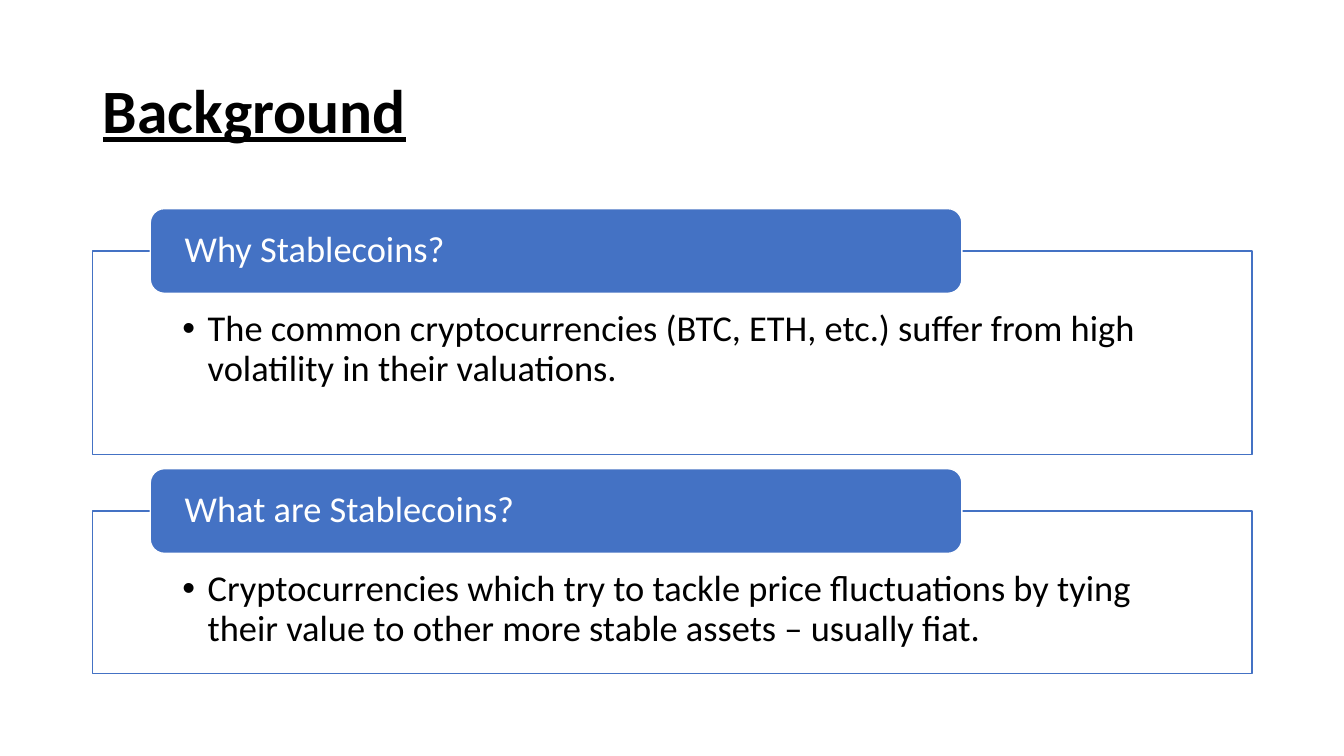
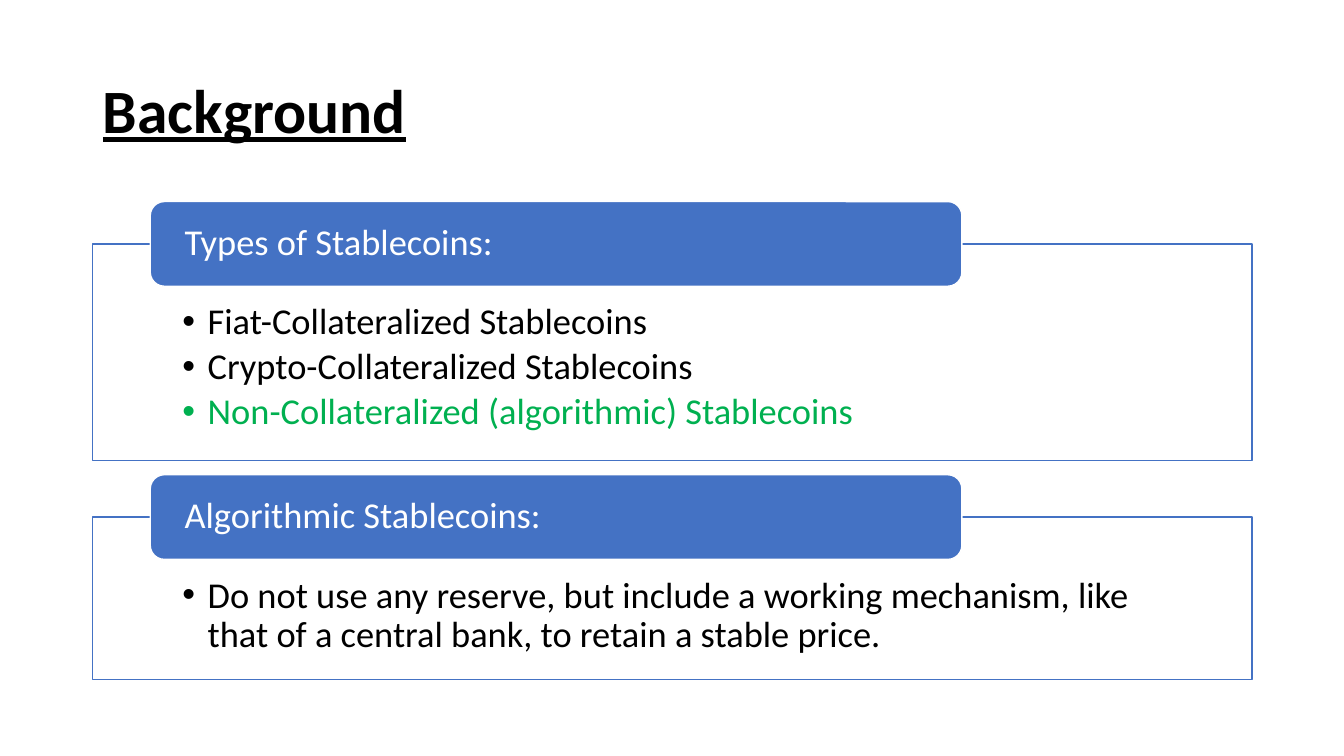
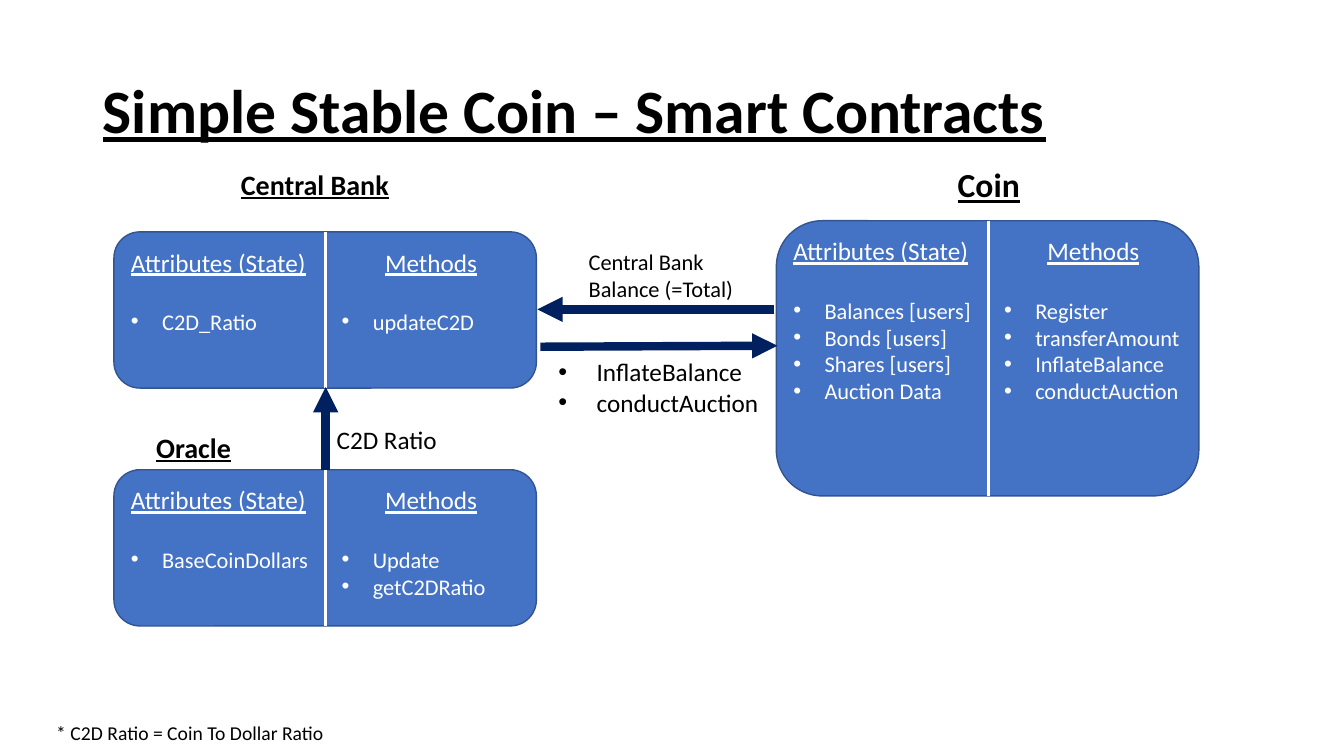
"""Build three slides on stablecoins and their smart contracts."""
from dataclasses import dataclass

from lxml import etree
from pptx import Presentation, util as u
from pptx.dml.color import RGBColor as Rgb
from pptx.enum import shapes, text
from pptx.oxml.ns import qn


@dataclass(frozen=True)
class Theme:
    """Colours, font and type sizes."""
    font: str = "Calibri"
    blue: str = "4472C4"
    edge: str = "325491"
    navy: str = "002060"
    green: str = "00B050"
    black: str = "000000"
    white: str = "FFFFFF"
    title: int = 44
    body: int = 26
    large: int = 24
    name: int = 20
    label: int = 18
    item: int = 16
    note: int = 14


class Deck:
    """Hold the style and the current slide, and draw each kind of element."""

    def __init__(self, theme):
        """Start an empty wide deck."""
        self.theme = theme
        self.show = Presentation()
        self.show.slide_width = u.Inches(13.33)
        self.show.slide_height = u.Inches(7.5)
        self.slide = None

    def page(self, title):
        """Add a slide with its title."""
        self.slide = self.show.slides.add_slide(self.show.slide_layouts[5])
        head = self.slide.shapes.title
        place = dict(left=0.92, top=0.4, width=11.5, height=1.45)
        for key, val in place.items():
            setattr(head, key, u.Inches(val))
        self.frame(head, anchor=text.MSO_ANCHOR.MIDDLE)
        self.para(head, title, self.theme.title, bold=True, line=True, space=0.9)

    def frame(self, shape, anchor=text.MSO_ANCHOR.TOP, pad=(0.1, 0.05, 0.1, 0.05)):
        """Set wrapping, anchor and insets."""
        left, top, right, low = map(u.Inches, pad)
        form = dict(word_wrap=True, auto_size=text.MSO_AUTO_SIZE.NONE,
                    vertical_anchor=anchor, margin_left=left, margin_top=top,
                    margin_right=right, margin_bottom=low)
        for key, val in form.items():
            setattr(shape.text_frame, key, val)

    def para(self, shape, words, size, color=None, bold=False, line=False,
             space=1.0, after=0, align=text.PP_ALIGN.LEFT, dent=0):
        """Append a paragraph, with a bullet when it has an indent."""
        frame = shape.text_frame
        par = frame.paragraphs[0] if not frame.text else frame.add_paragraph()
        form = dict(alignment=align, line_spacing=space,
                    space_before=u.Pt(0), space_after=u.Pt(after))
        for key, val in form.items():
            setattr(par, key, val)
        if dent:
            prop = par._p.get_or_add_pPr()
            prop.set("marL", str(u.Inches(dent)))
            prop.set("indent", str(-u.Inches(dent)))
            etree.SubElement(prop, qn("a:buFont"), typeface="Arial")
            etree.SubElement(prop, qn("a:buChar"), char="•")
        run = par.add_run()
        run.text = words
        look = dict(name=self.theme.font, size=u.Pt(size), bold=bold, underline=line)
        for key, val in look.items():
            setattr(run.font, key, val)
        run.font.color.rgb = Rgb.from_string(color or self.theme.black)

    def box(self, kind, place, fill, edge):
        """Draw a filled shape with a thin outline."""
        shape = self.slide.shapes.add_shape(kind, *map(u.Inches, place))
        shape.shadow.inherit = False
        shape.fill.solid()
        shape.fill.fore_color.rgb = Rgb.from_string(fill)
        shape.line.color.rgb = Rgb.from_string(edge)
        shape.line.width = u.Pt(1)
        return shape

    def area(self, *place):
        """Add an empty text box."""
        shape = self.slide.shapes.add_textbox(*map(u.Inches, place))
        self.frame(shape)
        return shape

    def label(self, place, words, size, **form):
        """Add a text box with one paragraph."""
        self.para(self.area(*place), words, size, **form)

    def line(self, ends, color, width, arrow=False):
        """Draw a straight line, with an arrowhead if asked."""
        link = self.slide.shapes.add_connector(
            shapes.MSO_CONNECTOR.STRAIGHT, *map(u.Inches, ends))
        link.line.color.rgb = Rgb.from_string(color)
        link.line.width = u.Pt(width)
        if arrow:
            etree.SubElement(link.line._get_or_add_ln(), qn("a:tailEnd"), type="triangle")
        etree.SubElement(link._element.spPr, qn("a:effectLst"))

    def panel(self, top, high, head, items):
        """Draw a framed list with a heading tab over its top edge."""
        look = self.theme
        body = self.box(shapes.MSO_SHAPE.RECTANGLE, (0.92, top, 11.5, high),
                        look.white, look.blue)
        self.frame(body, pad=(0.89, 0.59, 0.89, 0.2))
        for words, color in items:
            self.para(body, words, look.body, color, space=0.9, after=4, dent=0.25)
        tab = self.box(shapes.MSO_SHAPE.ROUNDED_RECTANGLE, (1.49, top - 0.42, 8.05, 0.84),
                       look.blue, look.white)
        self.frame(tab, text.MSO_ANCHOR.MIDDLE, (0.3, 0, 0.3, 0))
        self.para(tab, head, look.body, look.white, space=0.9)

    def stack(self, top, panels):
        """Draw panels one below the other with equal gaps."""
        for high, head, items in panels:
            self.panel(top, high, head, items)
            top += high + 0.56

    def card(self, left, top, high, state, calls):
        """Draw a contract with its attributes and methods."""
        look = self.theme
        self.box(shapes.MSO_SHAPE.ROUNDED_RECTANGLE, (left, top, 4.19, high),
                 look.blue, look.edge)
        cols = ((0.07, 2.17, "Attributes (State)", text.PP_ALIGN.LEFT, state),
                (2.16, 1.97, "Methods", text.PP_ALIGN.CENTER, calls))
        for shift, wide, head, align, items in cols:
            area = self.area(left + shift, top + 0.1, wide, high - 0.2)
            self.para(area, head, look.label, look.white, line=True, after=22, align=align)
            for words in items:
                self.para(area, words, look.item, look.white, dent=0.31)
        mid = left + 2.1
        self.line((mid, top, mid, top + high), look.white, 2.25)


def main():
    """Build and save the deck."""
    look = Theme()
    deck = Deck(look)

    deck.page("Background")
    deck.stack(2.49, (
        (2.02, "Why Stablecoins?", [
            ("The common cryptocurrencies (BTC, ETH, etc.) suffer from high "
             "volatility in their valuations.", look.black)]),
        (1.61, "What are Stablecoins?", [
            ("Cryptocurrencies which try to tackle price fluctuations by tying "
             "their value to other more stable assets – usually fiat.", look.black)])))

    deck.page("Background")
    deck.stack(2.42, (
        (2.15, "Types of Stablecoins:", [
            ("Fiat-Collateralized Stablecoins", look.black),
            ("Crypto-Collateralized Stablecoins", look.black),
            ("Non-Collateralized (algorithmic) Stablecoins", look.green)]),
        (1.61, "Algorithmic Stablecoins:", [
            ("Do not use any reserve, but include a working mechanism, like "
             "that of a central bank, to retain a stable price.", look.black)])))

    deck.page("Simple Stable Coin – Smart Contracts")
    for place, words, size in (
            ((9.4, 1.58, 1.88, 0.5), "Coin", look.large),
            ((2.29, 1.61, 1.88, 0.44), "Central Bank", look.name),
            ((1.45, 4.22, 1.88, 0.44), "Oracle", look.name)):
        deck.label(place, words, size, bold=True, line=True)
    deck.card(7.7, 2.19, 2.73,
              ("Balances [users]", "Bonds [users]", "Shares [users]", "Auction Data"),
              ("Register", "transferAmount", "InflateBalance", "conductAuction"))
    deck.card(1.13, 4.66, 1.55, ("BaseCoinDollars",), ("Update", "getC2DRatio"))
    deck.card(1.13, 2.3, 1.55, ("C2D_Ratio",), ("updateC2D",))
    for ends in ((3.23, 4.66, 3.23, 3.84), (7.68, 3.07, 5.33, 3.07),
                 (5.36, 3.44, 7.71, 3.43)):
        deck.line(ends, look.navy, 6, arrow=True)
    for place, words, size in (
            ((3.24, 4.16, 1.88, 0.4), "C2D Ratio", look.label),
            ((0.46, 7.1, 2.87, 0.34), "* C2D Ratio = Coin To Dollar Ratio", look.note),
            ((5.74, 2.41, 1.88, 0.64), "Central Bank Balance (=Total)", look.item)):
        deck.label(place, words, size)
    calls = deck.area(5.44, 3.49, 2.33, 0.71)
    for words in ("InflateBalance", "conductAuction"):
        deck.para(calls, words, look.label, dent=0.38)

    deck.show.save("out.pptx")


if __name__ == "__main__":
    main()
